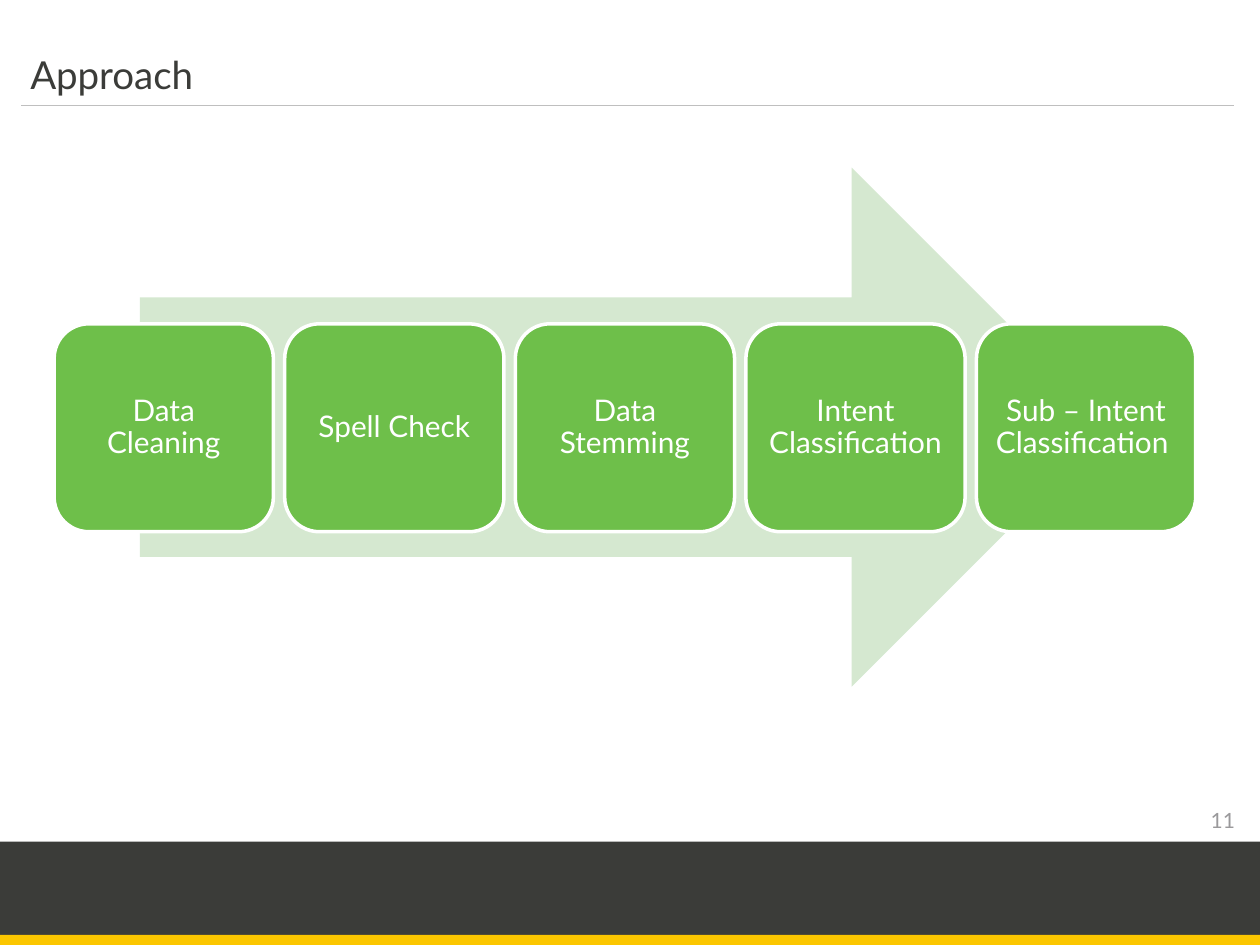
"""Build the Approach slide: five process steps on a broad arrow."""
from pptx import Presentation
from pptx import util as u
from pptx.dml.color import RGBColor
from pptx.enum import shapes, text
from pptx.oxml.ns import qn
from lxml import etree

DARK = RGBColor(0x3B, 0x3C, 0x39)
GOLD = RGBColor(0xFB, 0xC6, 0x00)
GREEN = RGBColor(0x6E, 0xBF, 0x4A)
PALE_GREEN = RGBColor(0xD5, 0xE8, 0xD0)
RULE_GREY = RGBColor(0xBF, 0xBF, 0xBF)
NUMBER_GREY = RGBColor(0x9A, 0x99, 0x9B)
WHITE = RGBColor(0xFF, 0xFF, 0xFF)

STEPS = ["Data Cleaning", "Spell Check", "Data Stemming",
         "Intent Classification", "Sub – Intent Classification "]
STEP_LEFT, STEP_TOP, STEP_WIDTH, STEP_HEIGHT, STEP_PITCH = 0.43, 2.57, 1.74, 1.65, 1.83


class SlideBuilder:
    """Hold the style and the current slide."""
    font = "Lato"

    def __init__(self, slide):
        self.slide = slide

    def set_text(self, shape, words, size, color, align, anchor, insets):
        frame = shape.text_frame
        frame.text = words
        frame.word_wrap = True
        frame.auto_size = text.MSO_AUTO_SIZE.NONE
        frame.vertical_anchor = anchor
        (frame.margin_left, frame.margin_top,
         frame.margin_right, frame.margin_bottom) = map(u.Inches, insets)
        paragraph = frame.paragraphs[0]
        paragraph.alignment = align
        for run in paragraph.runs:
            run.font.name = self.font
            run.font.size = u.Pt(size)
            run.font.color.rgb = color
        return paragraph

    def title(self, words, box):
        shape = self.slide.shapes.title
        shape.left, shape.top, shape.width, shape.height = map(u.Inches, box)
        self.set_text(shape, words, 22, DARK, text.PP_ALIGN.LEFT,
                      text.MSO_ANCHOR.BOTTOM, (0, 0.05, 0.1, 0.05))

    def label(self, words, box):
        shape = self.slide.shapes.add_textbox(*map(u.Inches, box))
        self.set_text(shape, words, 12, NUMBER_GREY, text.PP_ALIGN.RIGHT,
                      text.MSO_ANCHOR.TOP, (0.1, 0.05, 0.1, 0.05))

    def block(self, kind, box, fill):
        shape = self.slide.shapes.add_shape(kind, *map(u.Inches, box))
        shape.shadow.inherit = False
        shape.fill.solid()
        shape.fill.fore_color.rgb = fill
        shape.line.fill.background()
        return shape

    def step(self, words, box):
        shape = self.block(shapes.MSO_SHAPE.ROUNDED_RECTANGLE, box, GREEN)
        shape.line.color.rgb = WHITE
        shape.line.width = u.Pt(2)
        paragraph = self.set_text(shape, words, 17, WHITE, text.PP_ALIGN.CENTER,
                                  text.MSO_ANCHOR.MIDDLE, (0.07,) * 4)
        paragraph.line_spacing = 0.9

    def rule(self, left, right, top):
        line = self.slide.shapes.add_connector(
            shapes.MSO_CONNECTOR.STRAIGHT, *map(u.Inches, (left, top, right, top)))
        line.line.color.rgb = RULE_GREY
        line.line.width = u.Pt(0.75)
        etree.SubElement(line._element.spPr, qn("a:effectLst"))


def main():
    presentation = Presentation()
    presentation.slide_width = u.Inches(10)
    presentation.slide_height = u.Inches(7.5)
    builder = SlideBuilder(presentation.slides.add_slide(presentation.slide_layouts[5]))

    builder.block(shapes.MSO_SHAPE.RECTANGLE, (0, 6.68, 10, 0.82), DARK)
    builder.block(shapes.MSO_SHAPE.RECTANGLE, (0, 7.42, 10, 0.08), GOLD)
    builder.rule(0.17, 9.79, 0.84)
    builder.label("11", (7.21, 6.36, 2.69, 0.3))
    builder.title("Approach", (0.24, 0.33, 9.38, 0.49))

    builder.block(shapes.MSO_SHAPE.RIGHT_ARROW, (1.11, 1.33, 7.71, 4.12), PALE_GREEN)
    for index, words in enumerate(STEPS):
        left = STEP_LEFT + index * STEP_PITCH
        builder.step(words, (left, STEP_TOP, STEP_WIDTH, STEP_HEIGHT))

    presentation.save("out.pptx")


if __name__ == "__main__":
    main()
